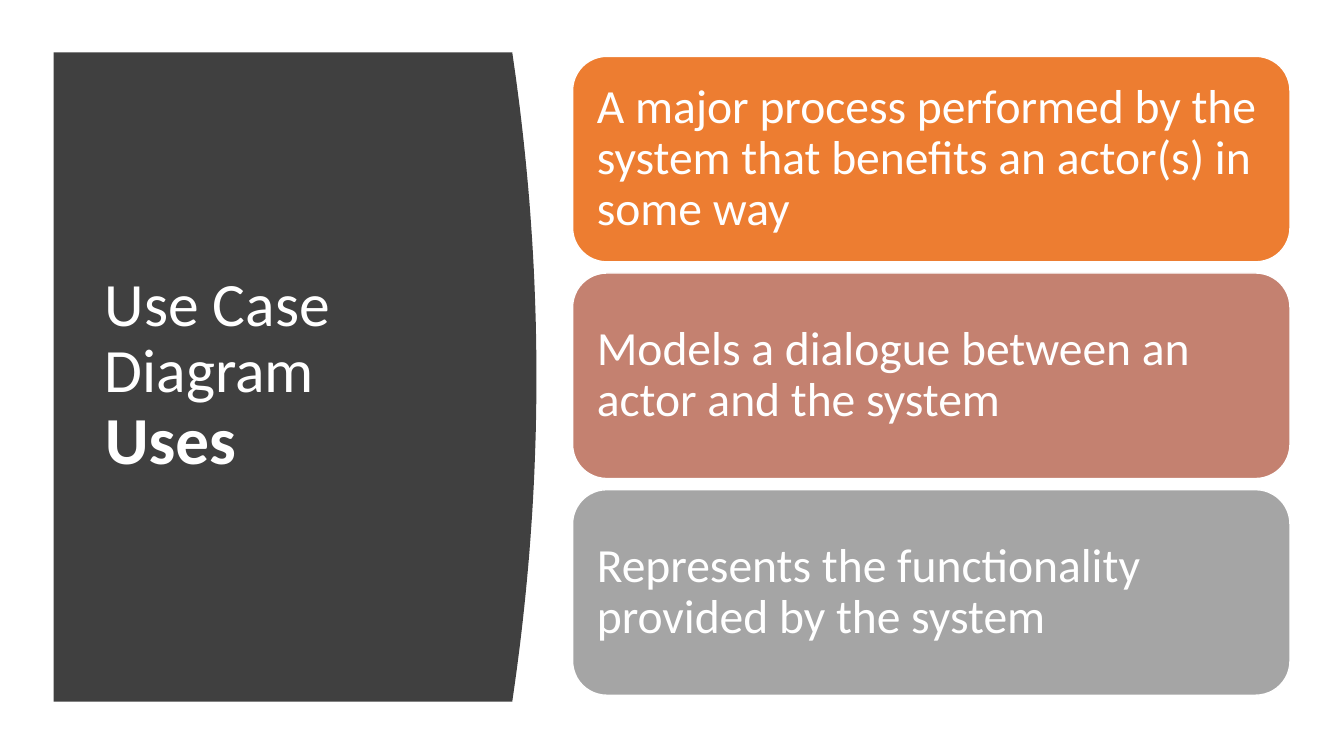
from pptx import Presentation
from pptx.dml.color import RGBColor
from pptx.enum import shapes, text
from pptx.util import Cm, Pt

FONT = "Calibri"
WHITE = "FFFFFF"
USES = [
    ("A major process performed by the system that benefits an actor(s) in some way", "ED7D31"),
    ("Models a dialogue between an actor and the system", "C48170"),
    ("Represents the functionality provided by the system", "A5A5A5"),
]


def paint(target, colour):
    """Give a fill or a line fill one solid colour."""
    target.solid()
    target.fore_color.rgb = RGBColor.from_string(colour)


def add_text(paragraph, words, size, bold=False, colour=WHITE, spacing=0.9):
    paragraph.alignment = text.PP_ALIGN.LEFT
    paragraph.line_spacing = spacing
    run = paragraph.add_run()
    run.text = words
    run.font.name = FONT
    run.font.size = Pt(size)
    run.font.bold = bold
    paint(run.font.fill, colour)


def set_frame(frame, inset_x, inset_y):
    frame.word_wrap = True
    frame.auto_size = text.MSO_AUTO_SIZE.NONE
    frame.vertical_anchor = text.MSO_ANCHOR.MIDDLE
    frame.margin_left = frame.margin_right = Cm(inset_x)
    frame.margin_top = frame.margin_bottom = Cm(inset_y)


def title_panel(slide, left, top, width, height, bulge=0.61, steps=48):
    # Dark panel whose right edge bows outwards as a parabola
    straight = left + width - bulge
    edge = []
    for step in range(steps + 1):
        offset = 2 * step / steps - 1
        x = straight + bulge * (1 - offset ** 2)
        edge.append((Cm(x), Cm(top + height * step / steps)))
    outline = slide.shapes.build_freeform(Cm(left), Cm(top), scale=1.0)
    outline.add_line_segments(edge + [(Cm(left), Cm(top + height))], close=True)
    panel = outline.convert_to_shape()
    panel.shadow.inherit = False
    paint(panel.fill, "404040")
    panel.line.fill.background()

    # Title, in front of the panel
    title = slide.shapes.title
    title.element.addprevious(panel.element)
    title.left, title.top = Cm(left + 1.04), Cm(top + 1.5)
    title.width, title.height = Cm(9.5), Cm(height - 3.05)
    set_frame(title.text_frame, 0.25, 0.13)
    heading = title.text_frame.paragraphs[0]
    add_text(heading, "Use Case Diagram", 44)
    heading.add_line_break()
    add_text(heading, "Uses", 48, bold=True)


def use_cards(slide, left, top, width, height, gap=0.28):
    # Equal cards stacked down the box
    card_height = (height - gap * (len(USES) - 1)) / len(USES)
    for index, (use, colour) in enumerate(USES):
        card = slide.shapes.add_shape(
            shapes.MSO_SHAPE.ROUNDED_RECTANGLE,
            Cm(left), Cm(top + index * (card_height + gap)),
            Cm(width), Cm(card_height))
        card.shadow.inherit = False
        paint(card.fill, colour)
        paint(card.line.fill, WHITE)
        card.line.width = Pt(1)
        set_frame(card.text_frame, 0.36, 0.36)
        add_text(card.text_frame.paragraphs[0], use, 34)


presentation = Presentation()
presentation.slide_width, presentation.slide_height = Cm(33.87), Cm(19.05)
uses_slide = presentation.slides.add_slide(presentation.slide_layouts[5])
title_panel(uses_slide, 1.35, 1.32, 12.17, 16.36)
use_cards(uses_slide, 14.43, 1.42, 18.08, 16.1)
presentation.save("out.pptx")
